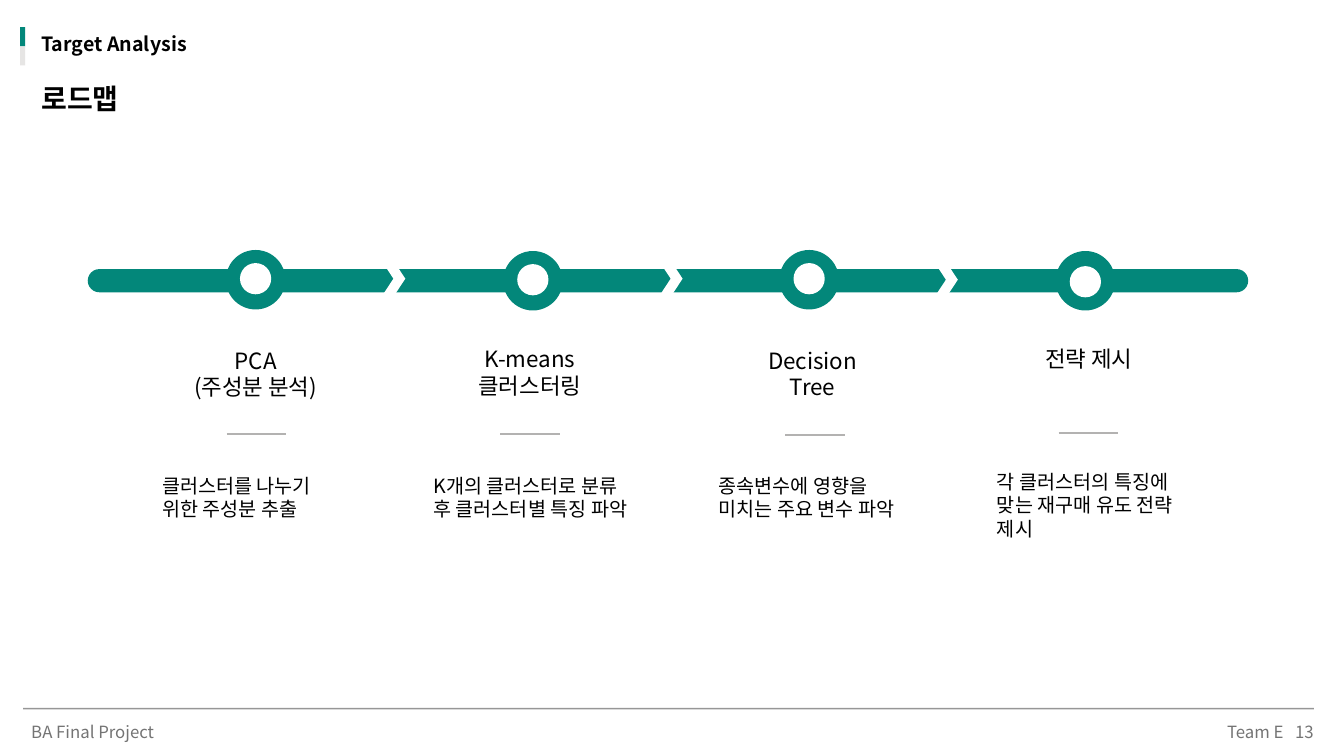
"""Build the roadmap slide: four analysis steps along a timeline bar."""
from lxml import etree
from pptx import Presentation
from pptx.dml.color import RGBColor
from pptx.enum.shapes import MSO_CONNECTOR, MSO_SHAPE
from pptx.enum.text import MSO_ANCHOR, PP_ALIGN
from pptx.oxml.ns import qn
from pptx.util import Inches, Pt

RECT, ROUNDED = MSO_SHAPE.RECTANGLE, MSO_SHAPE.ROUNDED_RECTANGLE
OVAL, CHEVRON = MSO_SHAPE.OVAL, MSO_SHAPE.CHEVRON
STRAIGHT = MSO_CONNECTOR.STRAIGHT
LEFT, CENTER, RIGHT = PP_ALIGN.LEFT, PP_ALIGN.CENTER, PP_ALIGN.RIGHT
TOP = MSO_ANCHOR.TOP
FONT = "Noto Sans CJK KR"
TEAL, WHITE, BLACK, GRAY = "03877A", "FFFFFF", "000000", "747474"
rgb = RGBColor.from_string

prs = Presentation()
prs.slide_width, prs.slide_height = Inches(13.33), Inches(7.5)
s = prs.slides.add_slide(prs.slide_layouts[5])


def add_shape(kind, x, y, w, h, color, adj=None):
    sp = s.shapes.add_shape(kind, Inches(x), Inches(y), Inches(w), Inches(h))
    sp.shadow.inherit = False
    sp.fill.solid()
    sp.fill.fore_color.rgb = rgb(color)
    sp.line.fill.background()
    if adj is not None:
        sp.adjustments[0] = adj


def set_text(x, y, w, h, text, size, align=LEFT, color=BLACK, bold=False, sp=None):
    box = [Inches(v) for v in (x, y, w, h)]
    if sp is None:
        sp = s.shapes.add_textbox(*box)
    sp.left, sp.top, sp.width, sp.height = box
    tf = sp.text_frame
    tf.word_wrap = True
    tf.vertical_anchor = TOP
    tf.text = text
    for p in tf.paragraphs:
        p.alignment = align
        p.font.name, p.font.size, p.font.bold = FONT, Pt(size), bold
        p.font.color.rgb = rgb(color)
        for props in p._p.iter(qn("a:defRPr")):
            etree.SubElement(props, qn("a:ea"), typeface=FONT)
    return tf


set_text(0.31, 0.76, 12.71, 0.44, "로드맵", 20, bold=True, sp=s.shapes.title)
add_shape(RECT, 0.2, 0.27, 0.05, 0.19, TEAL)
add_shape(RECT, 0.2, 0.46, 0.05, 0.19, "E6E5E4")
set_text(0.31, 0.27, 2.29, 0.34, "Target Analysis", 14, bold=True)

for x, text, align in [(0.31, "BA Final Project", LEFT), (9.54, "13", RIGHT),
                       (9.24, "Team E", RIGHT)]:
    tf = set_text(x, 7.18, 3.49, 0.18, text, 12, align, GRAY)
    tf.margin_left = tf.margin_top = tf.margin_right = tf.margin_bottom = 0
    tf.paragraphs[0].line_spacing = 0.9

add_shape(ROUNDED, 0.87, 2.67, 11.51, 0.23, TEAL, 0.5)
for x, y in [(3.8, 2.61), (6.55, 2.61), (9.28, 2.62)]:
    add_shape(CHEVRON, x, y, 0.22, 0.31, WHITE, 0.465)

for x, y, hole_y in [(2.24, 2.48, 2.61), (4.99, 2.49, 2.62),
                     (7.73, 2.48, 2.61), (10.47, 2.49, 2.64)]:
    add_shape(OVAL, x, y, 0.59, 0.59, TEAL)
    add_shape(OVAL, x + 0.14, hole_y, 0.31, 0.31, WHITE)

names = [
    (1.79, 3.39, 1.49, "PCA\n(주성분 분석)"),
    (4.18, 3.38, 2.15, "K-means\n클러스터링"),
    (7.42, 3.39, 1.28, "Decision Tree"),
    (10.16, 3.37, 1.28, "전략 제시"),
]
for x, y, w, text in names:
    set_text(x, y, w, 0.64, text, 16, CENTER)

details = [
    (1.51, 4.65, 2.07, "클러스터를 나누기 위한 주성분 추출"),
    (4.2, 4.65, 2.16, "K개의 클러스터로 분류 후 클러스터별 특징 파악"),
    (7.03, 4.65, 2.16, "종속변수에 영향을 미치는 주요 변수 파악"),
    (9.79, 4.61, 2.26, "각 클러스터의 특징에 맞는 재구매 유도 전략 제시"),
]
for x, y, w, text in details:
    set_text(x, y, w, 0.57, text, 14)

rules = [(x, y, 0.59, "B3B2B1", 1.5, 100) for x, y in
         [(2.25, 4.31), (4.96, 4.31), (7.79, 4.32), (10.5, 4.3)]]
rules.append((0.23, 7.03, 12.8, "404040", 1, 54))
for x, y, w, color, weight, opacity in rules:
    line = s.shapes.add_connector(STRAIGHT, Inches(x), Inches(y), Inches(x + w), Inches(y))
    line.line.color.rgb = rgb(color)
    line.line.width = Pt(weight)
    props = line._element.spPr
    if opacity < 100:
        etree.SubElement(props.find(".//" + qn("a:srgbClr")), qn("a:alpha"),
                         val=str(opacity * 1000))
    etree.SubElement(props, qn("a:effectLst"))

prs.save("out.pptx")
